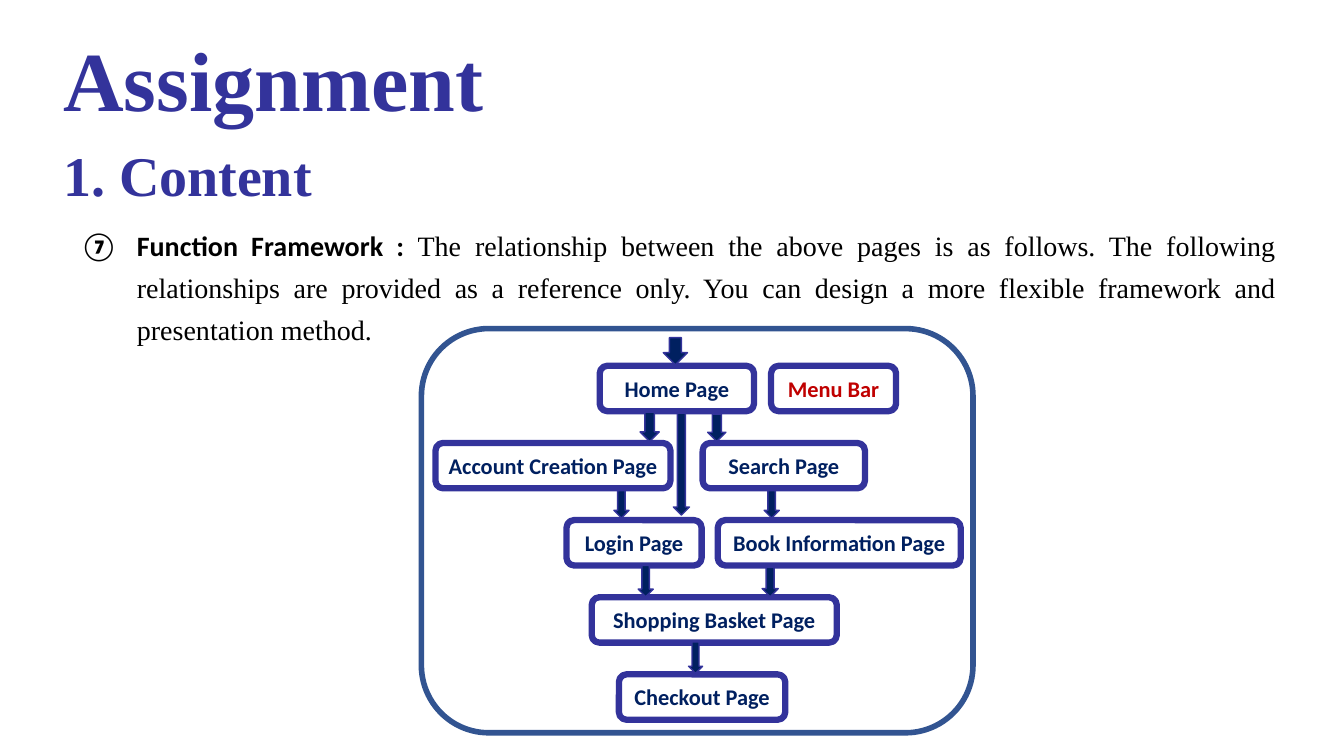
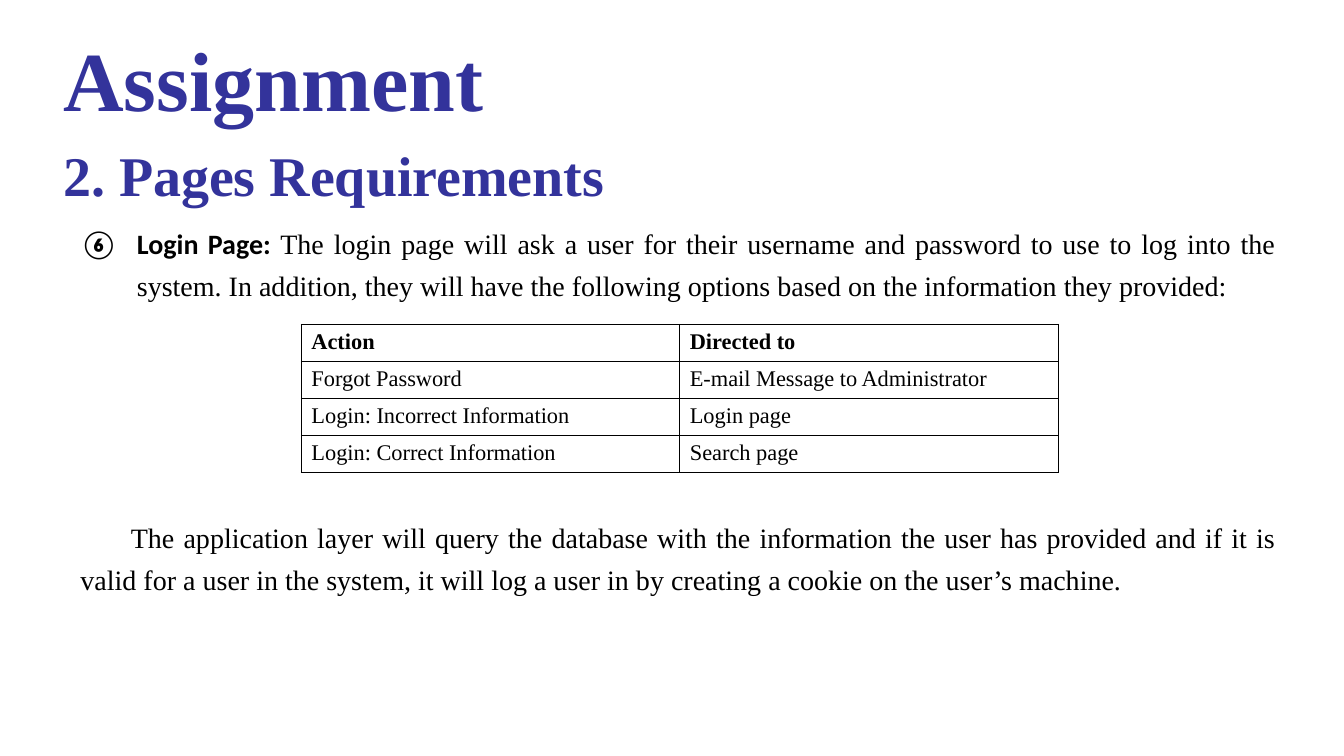
from dataclasses import dataclass

from lxml import etree
from pptx import Presentation
from pptx.dml.color import RGBColor
from pptx.enum import shapes, text
from pptx.oxml import ns
from pptx.util import Pt


@dataclass(frozen=True)
class Theme:
    indigo: str = "33339B"
    navy: str = "002060"
    frame_blue: str = "325491"
    red: str = "C00000"
    black: str = "000000"
    serif: str = "Times New Roman"
    sans: str = "Calibri"
    title_size: float = 60
    heading_size: float = 40
    body_size: float = 20
    small_size: float = 16
    body_leading: float = 30


THEME = Theme()

TITLE_BOX = (38, 15.8, 617, 80)
HEADING_BOX = (38, 96.5, 600, 55.4)
CHART_BOX = (301, 234.7, 394, 288.7)
TABLE_BOX = (215.3, 231.8, 540.6, 105.8)
BODY_LEFT, BODY_WIDTH = 14.4, 904.3

# Each row of the flow chart: (label, left in the chart, width, colour)
PAGE_ROWS = [
    [("Home Page", 127.4, 110.2, THEME.navy), ("Menu Bar", 249.8, 89.3, THEME.red)],
    [("Account Creation Page", 10.1, 167.8, THEME.navy), ("Search Page", 200.9, 115.9, THEME.navy)],
    [("Login Page", 103.7, 96.5, THEME.navy), ("Book Information Page", 211.7, 173.5, THEME.navy)],
    [("Shopping Basket Page", 121.7, 175, THEME.navy)],
    [("Checkout Page", 141.1, 118.8, THEME.navy)],
]
FIRST_ROW_TOP, ROW_STEP, PAGE_HEIGHT = 26.6, 55.1, 32.4

# Left and top in the chart, width, height
ARROWS = [
    (172.8, 6.5, 17.3, 19.4),
    (180, 60.5, 11.5, 72.7),
    (156.2, 59.8, 13.7, 20.9),
    (204.5, 61.2, 13, 19.4),
    (244.8, 115.9, 10.8, 19.4),
    (137.5, 115.9, 10.8, 19.4),
    (154.8, 169.2, 10.8, 22.3),
    (243.4, 170.6, 11.5, 20.9),
    (190.8, 223.9, 10, 22.3),
]

LOGIN_ACTIONS = [
    ("Action", "Directed to"),
    ("Forgot Password", "E-mail Message to Administrator"),
    ("Login: Incorrect Information", "Login page"),
    ("Login: Correct Information", "Search page"),
]


def points(box):
    return [Pt(length) for length in box]


def write(paragraph, content, size=THEME.body_size, font=THEME.serif,
          color=THEME.black, bold=False, align=None):
    """Append one formatted run to the paragraph."""
    if align is not None:
        paragraph.alignment = align
    run = paragraph.add_run()
    run.text = content
    run.font.size = Pt(size)
    run.font.name = font
    run.font.bold = bold
    run.font.color.rgb = RGBColor.from_string(color)


def add_text_box(slide, box, wrap=True):
    frame = slide.shapes.add_textbox(*points(box)).text_frame
    frame.word_wrap = wrap
    return frame


def add_outlined_shape(slide, kind, box, line, width, fill=None):
    shape = slide.shapes.add_shape(kind, *points(box))
    shape.shadow.inherit = False
    shape.line.color.rgb = RGBColor.from_string(line)
    shape.line.width = Pt(width)
    if fill:
        shape.fill.solid()
        shape.fill.fore_color.rgb = RGBColor.from_string(fill)
    else:
        shape.fill.background()
    return shape


def add_titled_slide(presentation, heading):
    slide = presentation.slides.add_slide(presentation.slide_layouts.get_by_name("Title Only"))
    title = slide.shapes.title
    title.left, title.top, title.width, title.height = points(TITLE_BOX)
    frame = title.text_frame
    frame.auto_size = text.MSO_AUTO_SIZE.NONE
    frame.vertical_anchor = text.MSO_ANCHOR.TOP
    write(frame.paragraphs[0], "Assignment", size=THEME.title_size, color=THEME.indigo,
          bold=True, align=text.PP_ALIGN.LEFT)
    heading_frame = add_text_box(slide, HEADING_BOX, wrap=False)
    write(heading_frame.paragraphs[0], heading, size=THEME.heading_size,
          color=THEME.indigo, bold=True, align=text.PP_ALIGN.LEFT)
    return slide


def add_body_paragraph(slide, top, height, margin, indent, number=None):
    """Return a justified paragraph, with a circled number if one is given."""
    frame = add_text_box(slide, (BODY_LEFT, top, BODY_WIDTH, height))
    paragraph = frame.paragraphs[0]
    paragraph.level = 1
    paragraph.alignment = text.PP_ALIGN.JUSTIFY
    paragraph.line_spacing = Pt(THEME.body_leading)
    properties = paragraph._p.get_or_add_pPr()
    properties.set("marL", str(Pt(margin)))
    properties.set("indent", str(Pt(indent)))
    if number:
        etree.SubElement(properties, ns.qn("a:buAutoNum"),
                         type="circleNumDbPlain", startAt=str(number))
    return paragraph


def add_numbered_item(slide, top, height, number, label, content):
    paragraph = add_body_paragraph(slide, top, height, 76.3, -40.3, number)
    write(paragraph, label, font=THEME.sans, bold=True)
    write(paragraph, content)


def add_page_flow(slide, box):
    left, top = box[:2]
    rounded = shapes.MSO_SHAPE.ROUNDED_RECTANGLE
    add_outlined_shape(slide, rounded, box, THEME.frame_blue, 4)
    for row, pages in enumerate(PAGE_ROWS):
        page_top = top + FIRST_ROW_TOP + row * ROW_STEP
        for label, offset, width, color in pages:
            page = add_outlined_shape(slide, rounded, (left + offset, page_top, width, PAGE_HEIGHT),
                                      THEME.indigo, 4.5)
            frame = page.text_frame
            frame.word_wrap = False
            frame.vertical_anchor = text.MSO_ANCHOR.MIDDLE
            write(frame.paragraphs[0], label, size=THEME.small_size, font=THEME.sans,
                  color=color, bold=True, align=text.PP_ALIGN.CENTER)
    for x, y, width, height in ARROWS:
        add_outlined_shape(slide, shapes.MSO_SHAPE.DOWN_ARROW, (left + x, top + y, width, height),
                           THEME.indigo, 1, fill=THEME.navy)


def add_cell_borders(cell):
    properties = cell._tc.get_or_add_tcPr()
    for position, side in enumerate(("lnL", "lnR", "lnT", "lnB")):
        border = etree.Element(ns.qn(f"a:{side}"), w=str(Pt(1)))
        fill = etree.SubElement(border, ns.qn("a:solidFill"))
        etree.SubElement(fill, ns.qn("a:srgbClr"), val=THEME.black)
        properties.insert(position, border)


def add_action_table(slide, box, rows):
    table = slide.shapes.add_table(len(rows), len(rows[0]), *points(box)).table
    table.first_row = table.horz_banding = False
    for row, values in enumerate(rows):
        for column, value in enumerate(values):
            cell = table.cell(row, column)
            cell.fill.background()
            add_cell_borders(cell)
            write(cell.text_frame.paragraphs[0], value, size=THEME.small_size, bold=row == 0)


def build_content_slide(presentation):
    slide = add_titled_slide(presentation, "1. Content")
    add_numbered_item(
        slide, 153.4, 95, 7, "Function Framework : ",
        "The relationship between the above pages is as follows. The following relationships "
        "are provided as a reference only. You can design a more flexible framework and "
        "presentation method.")
    add_page_flow(slide, CHART_BOX)


def build_requirements_slide(presentation):
    slide = add_titled_slide(presentation, "2. Pages Requirements")
    add_numbered_item(
        slide, 152, 67.2, 6, "Login Page: ",
        "The login page will ask a user for their username and password to use to log into "
        "the system. In addition, they will have the following options based on the "
        "information they provided:")
    add_action_table(slide, TABLE_BOX, LOGIN_ACTIONS)
    closing = add_body_paragraph(slide, 362, 67.2, 36, 36)
    write(closing,
          "The application layer will query the database with the information the user has "
          "provided and if it is valid for a user in the system, it will log a user in by "
          "creating a cookie on the user’s machine.")


def main():
    presentation = Presentation()
    presentation.slide_width, presentation.slide_height = Pt(960), Pt(540)
    build_content_slide(presentation)
    build_requirements_slide(presentation)
    presentation.save("out.pptx")


if __name__ == "__main__":
    main()
